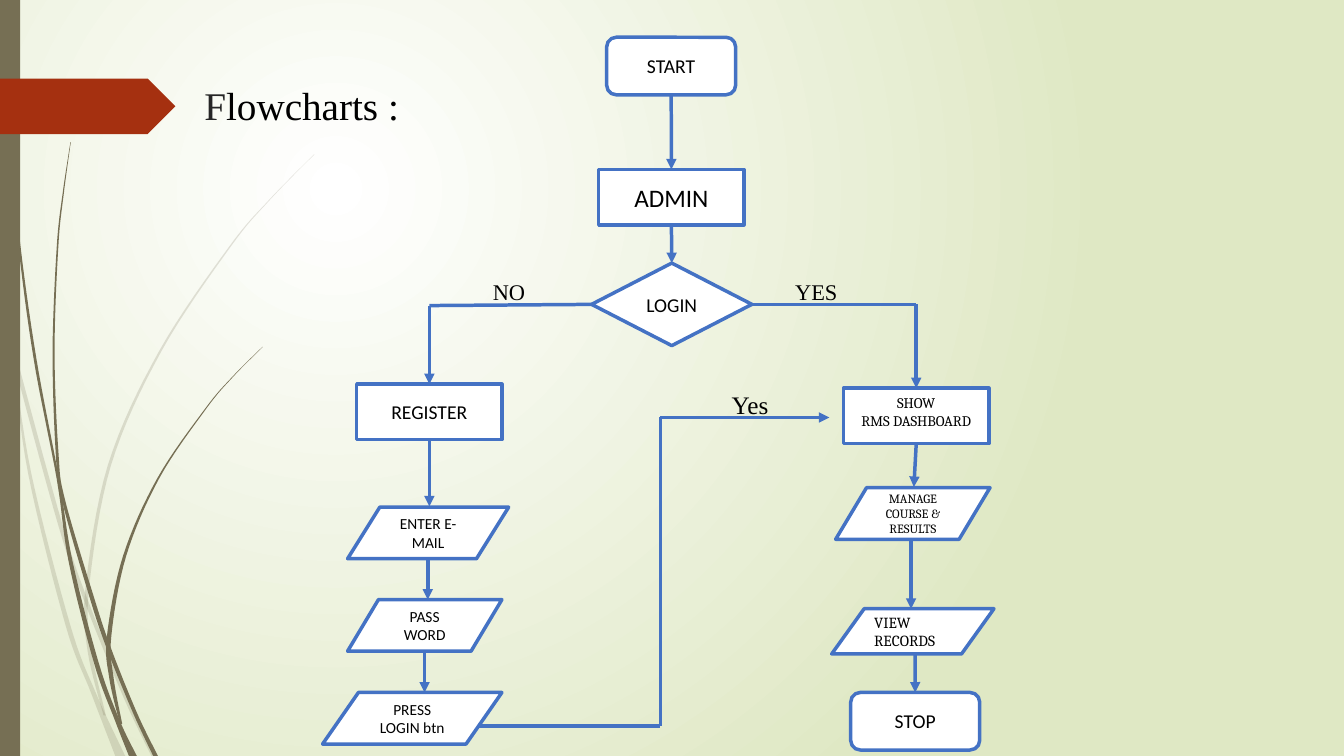
from dataclasses import dataclass
from typing import NamedTuple, Optional, Union

import lxml.etree
import pptx
import pptx.dml.color
import pptx.enum.shapes
import pptx.enum.text
import pptx.oxml.ns
import pptx.util

Cm = pptx.util.Cm
Pt = pptx.util.Pt
Kind = pptx.enum.shapes.MSO_SHAPE
Align = pptx.enum.text.PP_ALIGN
qn = pptx.oxml.ns.qn


@dataclass(frozen=True)
class Theme:
    white: str = "FFFFFF"
    glow: str = "DFE8C4"
    olive: str = "766F54"
    rust: str = "A53010"
    blue: str = "4472C4"
    black: str = "000000"
    gray: str = "262626"
    sans: str = "Calibri"
    serif: str = "Cambria"
    roman: str = "Times New Roman"
    head: float = 28
    big: float = 18
    note: float = 16
    body: float = 14
    small: float = 11
    fine: float = 10.5
    tiny: float = 9
    line: float = 2.5


THEME = Theme()


class Node(NamedTuple):
    kind: Kind
    box: tuple[float, float, float, float]
    lines: list[str]
    size: float = THEME.body
    font: str = THEME.sans
    align: Align = Align.CENTER
    after: float = 8
    base: float = 0.13


class Port(NamedTuple):
    node: str
    side: int


class Spot(NamedTuple):
    x: float
    y: float


class Link(NamedTuple):
    start: Union[Port, Spot]
    end: Union[Port, Spot]
    arrow: bool = True


class Label(NamedTuple):
    box: tuple[float, float, float, float]
    runs: list[tuple[str, str]]
    size: float


class Blade(NamedTuple):
    knots: list[tuple[float, float, float]]
    alpha: Optional[int] = None


STEP, CARD, DATA = Kind.FLOWCHART_ALTERNATE_PROCESS, Kind.RECTANGLE, Kind.FLOWCHART_DATA

NODES = {
    "start": Node(STEP, (15.29, 0.94, 3.25, 1.45), ["START"]),
    "admin": Node(CARD, (15.09, 4.27, 3.66, 1.4), ["ADMIN"], THEME.big),
    "login": Node(Kind.FLOWCHART_DECISION, (14.91, 6.63, 4.04, 2.08), ["LOGIN"]),
    "join": Node(CARD, (8.99, 9.68, 3.66, 1.4), ["REGISTER"]),
    "mail": Node(DATA, (8.76, 12.78, 4.06, 1.3), ["ENTER E-MAIL"], THEME.small),
    "pass": Node(DATA, (8.76, 15.11, 3.89, 1.3), ["PASS\vWORD"], THEME.small),
    "press": Node(DATA, (8.13, 17.45, 4.52, 1.3), ["PRESS\vLOGIN btn"], THEME.small),
    "show": Node(CARD, (21.26, 9.78, 3.66, 1.4), ["SHOW", "RMS DASHBOARD"],
                 THEME.fine, THEME.serif, after=0, base=0.34),
    "manage": Node(DATA, (21.06, 12.29, 3.89, 1.3), ["MANAGE", "COURSE & RESULTS"],
                   THEME.tiny, THEME.serif, after=0),
    "view": Node(DATA, (20.96, 15.34, 4.09, 1.14), ["VIEW", "RECORDS"],
                 THEME.small, THEME.serif, Align.LEFT, 0),
    "stop": Node(STEP, (21.44, 17.45, 3.25, 1.45), ["STOP"]),
}

LINKS = [
    Link(Port("start", 2), Port("admin", 0)),
    Link(Port("admin", 2), Port("login", 0)),
    Link(Port("login", 1), Spot(10.82, 7.7), False),
    Link(Spot(10.82, 7.7), Port("join", 0)),
    Link(Port("login", 3), Spot(23.09, 7.67), False),
    Link(Spot(23.09, 7.67), Port("show", 0)),
    Link(Port("join", 2), Spot(10.82, 12.76)),
    Link(Spot(10.78, 14.08), Spot(10.78, 15.11)),
    Link(Spot(10.7, 16.41), Spot(10.7, 17.45)),
    Link(Spot(12.04, 18.29), Spot(16.64, 18.29), False),
    Link(Spot(16.64, 18.29), Spot(16.64, 10.52), False),
    Link(Spot(16.64, 10.52), Spot(20.9, 10.52)),
    Link(Port("show", 2), Spot(23.03, 12.27)),
    Link(Spot(22.96, 13.59), Spot(22.96, 15.34)),
    Link(Spot(23.06, 16.48), Port("stop", 0)),
]

LABELS = [
    Label((4.9, 1.93, 5.97, 1.45), [("F", THEME.gray), ("lowcharts :", THEME.black)], THEME.head),
    Label((18.19, 9.68, 2.72, 1.02), [("Yes", THEME.black)], THEME.big),
    Label((12.17, 6.88, 2, 0.94), [("NO", THEME.black)], THEME.note),
    Label((19.79, 6.88, 2, 0.94), [("YES", THEME.black)], THEME.note),
]

BLADES = [
    Blade([(0, 7.37, .06), (.3, 8.74, .1), (1.53, 13.26, .11), (2.22, 15.27, .1),
           (3.18, 17.6, .11), (3.88, 19.05, .13)], 20),
    Blade([(.33, 9, .02), (.75, 11.94, .08), (1.71, 15.75, .12), (2.35, 17.45, .12),
           (3.03, 19.05, .25)], 20),
    Blade([(7.92, 3.89, .01), (6.81, 5.02, .02), (5.8, 6.21, .04), (4.04, 8.85, .06),
           (2.76, 11.72, .08), (2.2, 14.83, .09), (2.26, 16.41, .1), (2.64, 18.03, .06)], 20),
    Blade([(.09, 0, .02), (.19, 2.79, .03), (.46, 5.92, .05), (.88, 9.02, .07),
           (1.46, 12.07, .06), (1.78, 14.15, .1), (2.43, 16.71, .12), (2.96, 18.16, .12),
           (3.35, 19.05, .2)]),
    Blade([(1.78, 3.58, .01), (1.59, 4.9, .03), (1.45, 6.22, .04), (1.35, 8.86, .05),
           (1.44, 11.43, .07), (1.6, 12.6, .08), (2.3, 15.01, .11), (2.74, 16.33, .11),
           (3.4, 17.96, .1), (3.92, 19.05, .12)]),
    Blade([(6.62, 8.74, .01), (5.87, 9.49, .02), (5.19, 10.29, .03), (3.99, 12.05, .05),
           (3.14, 14.01, .08), (2.75, 16.03, .11), (2.81, 17.1, .11), (3.05, 18.24, .06)]),
]


def rgb(code: str) -> pptx.dml.color.RGBColor:
    return pptx.dml.color.RGBColor.from_string(code)


def paint(shape, fill: str, line: Optional[str] = None) -> None:
    shape.shadow.inherit = False
    shape.fill.solid()
    shape.fill.fore_color.rgb = rgb(fill)
    if line:
        shape.line.color.rgb = rgb(line)
        shape.line.width = Pt(THEME.line)
    else:
        shape.line.fill.background()


def shade(slide) -> None:
    fill = slide.background.fill
    fill.gradient()
    for stop, code in zip(fill.gradient_stops, (THEME.white, THEME.glow)):
        stop.color.rgb = rgb(code)
    grad = slide.element.find(".//" + qn("a:gradFill"))
    grad.remove(grad.find(qn("a:lin")))
    ring = lxml.etree.SubElement(grad, qn("a:path"), path="circle")
    lxml.etree.SubElement(ring, qn("a:fillToRect"), l="50000", t="50000", r="100000", b="100000")


def smooth(knots: list, steps: int = 8) -> list:
    ends = [knots[0], *knots, knots[-1]]
    spots = []
    for a, b, c, d in zip(ends, ends[1:], ends[2:], ends[3:]):
        for i in range(steps):
            t = i / steps
            spots.append(tuple(
                q + t * (r - p) / 2 + t * t * (p - 2.5 * q + 2 * r - s / 2)
                + t ** 3 * (3 * (q - r) + s - p) / 2
                for p, q, r, s in zip(a, b, c, d)))
    return spots + [knots[-1]]


def grow(slide, blade: Blade) -> None:
    spots = smooth(blade.knots)
    rim = [(Cm(x - w / 2), Cm(y)) for x, y, w in spots]
    rim += [(Cm(x + w / 2), Cm(y)) for x, y, w in reversed(spots)]
    pen = slide.shapes.build_freeform(*rim[0])
    pen.add_line_segments(rim[1:], close=True)
    shape = pen.convert_to_shape()
    paint(shape, THEME.olive)
    if blade.alpha:
        tint = shape.element.spPr.find(".//" + qn("a:srgbClr"))
        lxml.etree.SubElement(tint, qn("a:alpha"), val=str(blade.alpha * 1000))


def place(slide, node: Node):
    shape = slide.shapes.add_shape(node.kind, *map(Cm, node.box))
    paint(shape, THEME.white, THEME.blue)
    frame = shape.text_frame
    frame.word_wrap = True
    frame.vertical_anchor = pptx.enum.text.MSO_ANCHOR.MIDDLE
    frame.margin_bottom = Cm(node.base)
    for i, line in enumerate(node.lines):
        para = frame.add_paragraph() if i else frame.paragraphs[0]
        para.text = line
        para.alignment = node.align
        para.space_after = Pt(node.after)
        para.font.size = Pt(node.size)
        para.font.name = node.font
        para.font.color.rgb = rgb(THEME.black)
    return shape


def draw(slide, link: Link, shapes: dict) -> None:
    ends = [Cm(v) for end in (link.start, link.end)
            for v in (end if isinstance(end, Spot) else (0, 0))]
    wire = slide.shapes.add_connector(pptx.enum.shapes.MSO_CONNECTOR.STRAIGHT, *ends)
    for end, join in ((link.start, wire.begin_connect), (link.end, wire.end_connect)):
        if isinstance(end, Port):
            join(shapes[end.node], end.side)
    wire.line.color.rgb = rgb(THEME.blue)
    wire.line.width = Pt(THEME.line)
    if link.arrow:
        lxml.etree.SubElement(wire.line._get_or_add_ln(), qn("a:tailEnd"), type="triangle")
    lxml.etree.SubElement(wire.element.spPr, qn("a:effectLst"))


def write(slide, label: Label) -> None:
    frame = slide.shapes.add_textbox(*map(Cm, label.box)).text_frame
    frame.word_wrap = True
    para = frame.paragraphs[0]
    for text, code in label.runs:
        run = para.add_run()
        run.text = text
        run.font.color.rgb = rgb(code)
    para.font.size = Pt(label.size)
    para.font.name = THEME.roman


def main() -> None:
    deck = pptx.Presentation()
    deck.slide_width, deck.slide_height = Cm(33.87), Cm(19.05)
    slide = deck.slides.add_slide(deck.slide_layouts[6])
    shade(slide)
    for blade in BLADES:
        grow(slide, blade)
    paint(slide.shapes.add_shape(CARD, 0, 0, Cm(0.51), Cm(19.05)), THEME.olive)
    flag = slide.shapes.add_shape(Kind.PENTAGON, 0, Cm(1.98), Cm(4.42), Cm(1.4))
    paint(flag, THEME.rust)
    shapes = {name: place(slide, node) for name, node in NODES.items()}
    for link in LINKS:
        draw(slide, link, shapes)
    for label in LABELS:
        write(slide, label)
    deck.save("out.pptx")


if __name__ == "__main__":
    main()
